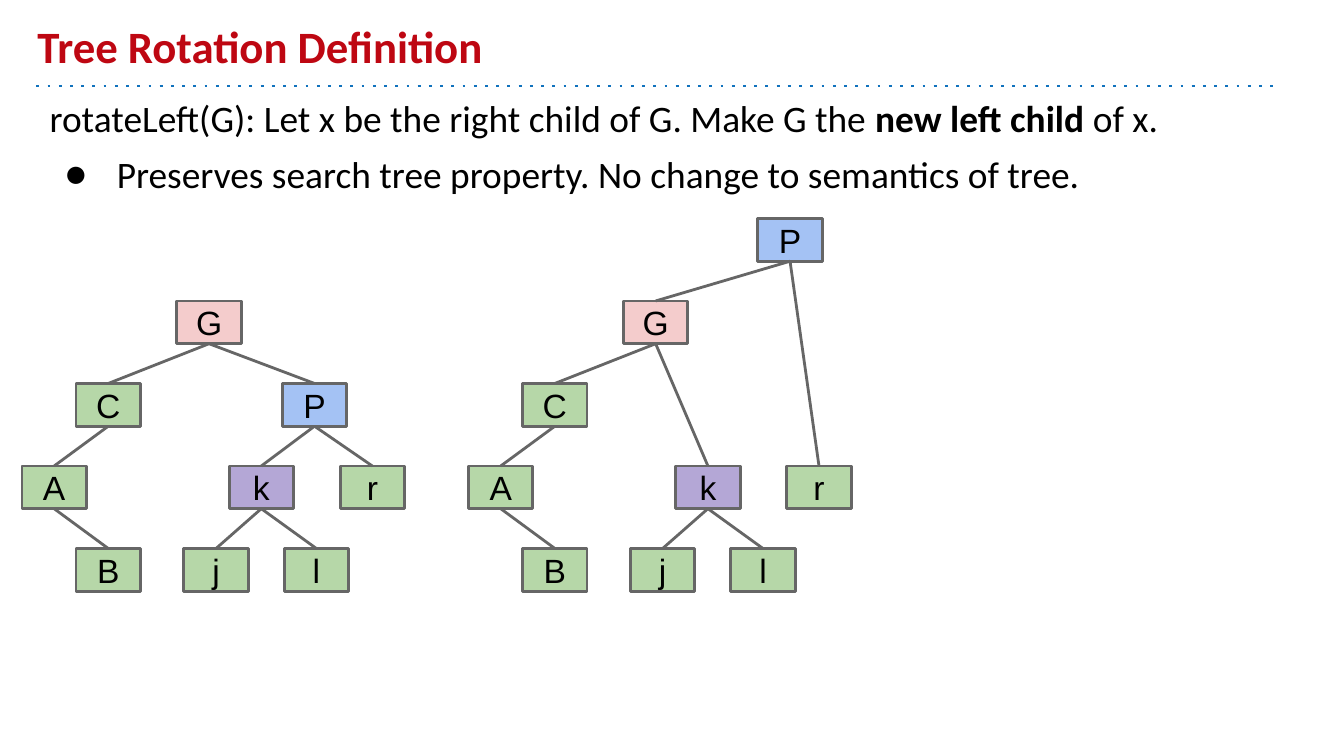
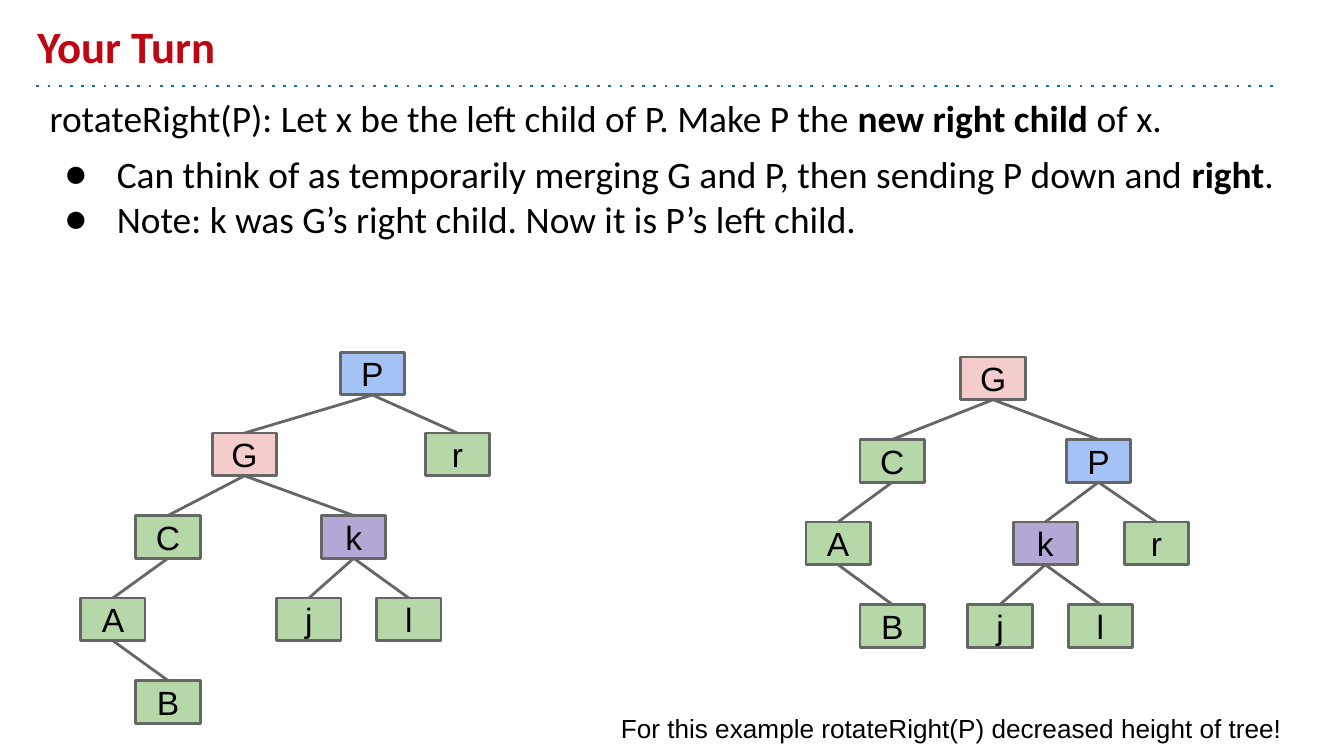
"""Build two slides that explain left and right rotation of a search tree."""
from dataclasses import dataclass
from lxml import etree
from pptx import Presentation
from pptx import util as u
from pptx.dml.color import RGBColor
from pptx.enum import dml, shapes, text
from pptx.oxml.ns import qn

Pt = u.Pt


@dataclass(frozen=True)
class Theme:
    title: str = "BE0712"
    rule: str = "1072BD"
    ink: str = "000000"
    edge: str = "666666"
    pink: str = "F4CCCC"
    blue: str = "A4C2F4"
    purple: str = "B4A7D6"
    green: str = "B6D7A8"
    heading_font: str = "Calibri"
    label_font: str = "Arial"
    title_size: int = 24
    body_size: int = 20
    node_size: int = 18
    note_size: int = 14
    stroke: float = 1.5
    inset: float = 7.2


theme = Theme()


def write(holder, content, *, size, font, color=theme.ink, bold=False, align=None,
          anchor=text.MSO_ANCHOR.TOP, before=(0,), bullet="●"):
    """Write lines into a shape; *stars* mark bold words and "- " a bullet."""
    frame = holder.text_frame
    frame.word_wrap = True
    frame.vertical_anchor = anchor
    frame.margin_left = frame.margin_right = Pt(theme.inset)
    frame.margin_top = frame.margin_bottom = Pt(theme.inset)
    for number, line in enumerate(content.split("\n")):
        paragraph = frame.add_paragraph() if number else frame.paragraphs[0]
        paragraph.alignment = align
        paragraph.space_before = Pt(before[number])
        if line.startswith("- "):
            line = line[2:]
            props = paragraph._p.get_or_add_pPr()
            props.set("marL", str(Pt(36)))
            props.set("indent", str(Pt(-28)))
            tint = etree.SubElement(props, qn("a:buClr"))
            etree.SubElement(tint, qn("a:srgbClr"), val=color)
            etree.SubElement(props, qn("a:buFont"), typeface=font)
            etree.SubElement(props, qn("a:buChar"), char=bullet)
        for part, words in enumerate(line.split("*")):
            if words:
                run = paragraph.add_run()
                run.text = words
                run.font.size, run.font.name = Pt(size), font
                run.font.bold = bold or part % 2 == 1
                run.font.color.rgb = RGBColor.from_string(color)


def draw_line(slide, start, end, color):
    """Draw a straight line without shadow."""
    line = slide.shapes.add_connector(
        shapes.MSO_CONNECTOR.STRAIGHT, *(Pt(v) for v in (*start, *end)))
    line.line.color.rgb = RGBColor.from_string(color)
    line.line.width = Pt(theme.stroke)
    etree.SubElement(line._element.spPr, qn("a:effectLst"))
    return line


node_width, node_height, level_gap = 34.5, 22.9, 44.2
node_fills = {"G": theme.pink, "P": theme.blue, "k": theme.purple}

g_on_top = {"G": (0, 0), "C": (-54, 1), "P": (56.5, 1), "A": (-83, 2), "k": (28, 2),
            "r": (87.5, 2), "B": (-54, 3), "j": (3.75, 3), "l": (57.5, 3)}
p_on_top = g_on_top | {"P": (72, -1)}
p_on_top_wide = {"P": (68.5, -0.98), "G": (0, 0), "r": (114, 0), "C": (-41, 1),
                 "k": (58.5, 1), "A": (-70.5, 2), "j": (34.5, 2), "l": (88, 2),
                 "B": (-41, 3)}
g_edges = "GC GP CA AB Pk Pr kj kl".split()
p_edges = "PG Pr GC Gk CA AB kj kl".split()

lessons = [
    ("Tree Rotation Definition",
     "rotateLeft(G): Let x be the right child of G. Make G the *new left child *of x.\n"
     "- Preserves search tree property. No change to semantics of tree.",
     103, "",
     [(g_on_top, g_edges, 94.75, 161.25), (p_on_top, p_edges, 334, 161.25)]),
    ("Your Turn",
     "rotateRight(P): Let x be the left child of P. Make P the *new right child *of x.\n"
     "- Can think of as temporarily merging G and P, then sending P down and *right*.\n"
     "- Note: k was G’s right child. Now it is P’s left child.",
     144, "For this example rotateRight(P) decreased height of tree!",
     [(p_on_top_wide, p_edges, 113.75, 232), (g_on_top, g_edges, 514.75, 191.25)]),
]

deck = Presentation()
deck.slide_width, deck.slide_height = Pt(720), Pt(405)

for heading, explanation, explanation_height, note, trees in lessons:
    slide = deck.slides.add_slide(deck.slide_layouts[6])

    rule = draw_line(slide, (19.5, 46.1), (684, 46.1), theme.rule)
    rule.line.dash_style = dml.MSO_LINE.ROUND_DOT
    for dash in rule._element.iter(qn("a:prstDash")):
        dash.set("val", "dot")

    title = slide.shapes.add_textbox(Pt(13), Pt(7.2), Pt(648), Pt(38.9))
    write(title, heading, size=theme.title_size, font=theme.heading_font,
          color=theme.title, bold=True, anchor=text.MSO_ANCHOR.BOTTOM)
    body = slide.shapes.add_textbox(Pt(19.5), Pt(44), Pt(700.5), Pt(explanation_height))
    write(body, explanation, size=theme.body_size, font=theme.heading_font,
          before=(6, 6, 0))

    for places, edges, left, top in trees:
        nodes = {}
        for key, (shift, level) in places.items():
            node = slide.shapes.add_shape(
                shapes.MSO_SHAPE.RECTANGLE, Pt(left + shift), Pt(top + level * level_gap),
                Pt(node_width), Pt(node_height))
            node.shadow.inherit = False
            node.fill.solid()
            node.fill.fore_color.rgb = RGBColor.from_string(
                node_fills.get(key, theme.green))
            node.line.color.rgb = RGBColor.from_string(theme.edge)
            node.line.width = Pt(theme.stroke)
            write(node, key, size=theme.node_size, font=theme.label_font,
                  align=text.PP_ALIGN.CENTER, anchor=text.MSO_ANCHOR.MIDDLE)
            nodes[key] = node
        for parent, child in edges:
            branch = draw_line(slide, (0, 0), (0, 0), theme.edge)
            branch.begin_connect(nodes[parent], 2)
            branch.end_connect(nodes[child], 0)

    if note:
        remark = slide.shapes.add_textbox(Pt(325.5), Pt(374.5), Pt(394), Pt(32))
        write(remark, note, size=theme.note_size, font=theme.label_font)

deck.save("out.pptx")
